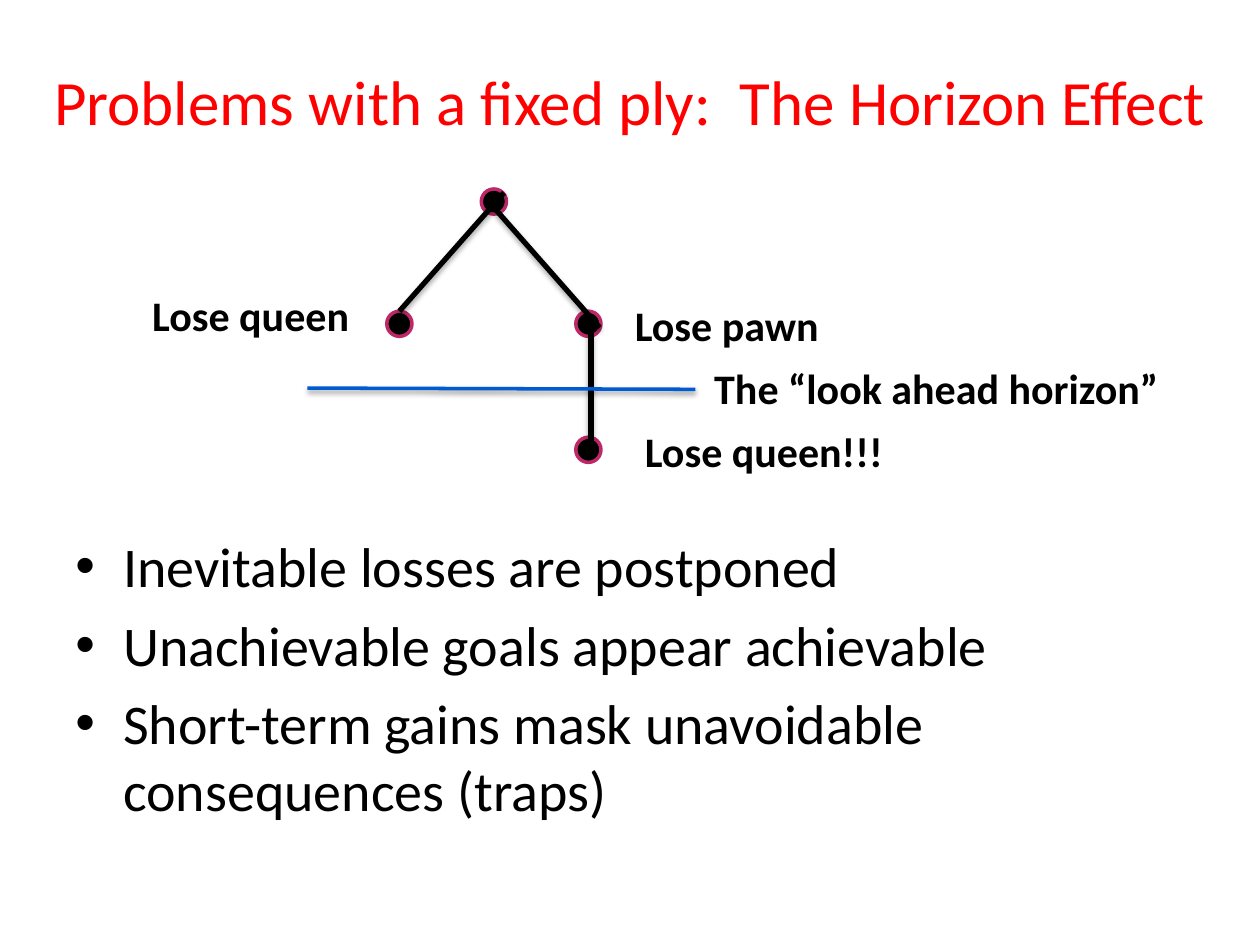
from lxml.etree import SubElement
from pptx import Presentation
from pptx.dml.color import RGBColor
from pptx.enum.shapes import MSO_CONNECTOR as Link, MSO_SHAPE as Shape
from pptx.enum.text import MSO_ANCHOR as Anchor, MSO_AUTO_SIZE as Fit, PP_ALIGN as Align
from pptx.oxml.ns import qn
from pptx.util import Inches, Pt

BLACK = RGBColor(0, 0, 0)
RED = RGBColor(0xFF, 0, 0)
PINK = RGBColor(0xBD, 0x29, 0x68)
BLUE = RGBColor(0, 0x5B, 0xD3)

SIZE = 0.2
NODES = [(3.82, 1.5), (3.07, 2.47), (4.57, 2.47), (4.57, 3.47)]
EDGES = [
    ((4, 1.53), (3.17, 2.47)),
    ((3.94, 1.67), (4.76, 2.6)),
    ((4.69, 2.64), (4.69, 3.5)),
]
LABELS = [
    ("Lose queen", 1.11, 2.25, 1.79),
    ("Lose pawn", 4.94, 2.33, 1.68),
    ("Lose queen!!!", 5.02, 3.33, 2.12),
    ("The “look ahead horizon”", 5.57, 2.83, 3.76),
]
POINTS = [
    "Inevitable losses are postponed",
    "Unachievable goals appear achievable",
    "Short-term gains mask unavoidable consequences (traps)",
]


def inches(*vals):
    return [Inches(val) for val in vals]


def set_font(para, color, **form):
    font = para.runs[0].font
    font.color.rgb = color
    for name, val in {"name": "Calibri", **form}.items():
        setattr(font, name, val)


def add_title(slide):
    title = slide.shapes.title
    box = dict(zip(("left", "top", "width", "height"), inches(0, 0.17, 10, 1.25)))
    for name, val in box.items():
        setattr(title, name, val)
    frame = title.text_frame
    frame.text = "Problems with a fixed ply:  The Horizon Effect"
    frame.auto_size = Fit.NONE
    frame.vertical_anchor = Anchor.MIDDLE
    para = frame.paragraphs[0]
    para.alignment = Align.CENTER
    set_font(para, RED, size=Pt(36))


def add_points(slide):
    frame = slide.shapes.add_textbox(*inches(0.5, 4.17, 9, 3)).text_frame
    frame.word_wrap = True
    frame.text = "\n".join(POINTS)
    for para in frame.paragraphs:
        set_font(para, BLACK, size=Pt(32))
        para.space_before = Pt(6.4)
        props = para._p.get_or_add_pPr()
        props.set("marL", str(Inches(0.38)))
        props.set("indent", str(Inches(-0.38)))
        SubElement(props, qn("a:buFont"), typeface="Arial")
        SubElement(props, qn("a:buChar"), char="•")


def add_node(slide, left, top):
    node = slide.shapes.add_shape(Shape.OVAL, *inches(left, top, SIZE, SIZE))
    node.shadow.inherit = False
    node.fill.solid()
    node.fill.fore_color.rgb = BLACK
    node.line.color.rgb = PINK
    node.line.width = Pt(2)


def add_line(slide, start, end, color, width, dist, alpha):
    """Draw a line with a soft shadow below it; alpha is in percent."""
    line = slide.shapes.add_connector(Link.STRAIGHT, *inches(*start, *end))
    line.line.color.rgb = color
    line.line.width = Pt(width)
    effects = SubElement(line._element.spPr, qn("a:effectLst"))
    shadow = SubElement(
        effects, qn("a:outerShdw"), blurRad=str(Pt(3.1)), dist=str(Pt(dist)),
        dir="5400000", rotWithShape="0",
    )
    tint = SubElement(shadow, qn("a:srgbClr"), val=str(BLACK))
    SubElement(tint, qn("a:alpha"), val=str(alpha * 1000))


def add_label(slide, text, left, top, width):
    frame = slide.shapes.add_textbox(*inches(left, top, width, 0.5)).text_frame
    frame.word_wrap = False
    frame.auto_size = Fit.SHAPE_TO_FIT_TEXT
    frame.text = text
    set_font(frame.paragraphs[0], BLACK, size=Pt(24), bold=True)


def main():
    deck = Presentation()
    deck.slide_width, deck.slide_height = inches(10, 7.5)
    slide = deck.slides.add_slide(deck.slide_layouts[5])
    add_title(slide)
    add_points(slide)
    for node in NODES:
        add_node(slide, *node)
    for start, end in EDGES:
        add_line(slide, start, end, BLACK, 3, 1.8, 35)
    add_line(slide, (2.44, 3.08), (5.52, 3.09), BLUE, 2, 1.6, 38)
    for label in LABELS:
        add_label(slide, *label)
    deck.save("out.pptx")


if __name__ == "__main__":
    main()
